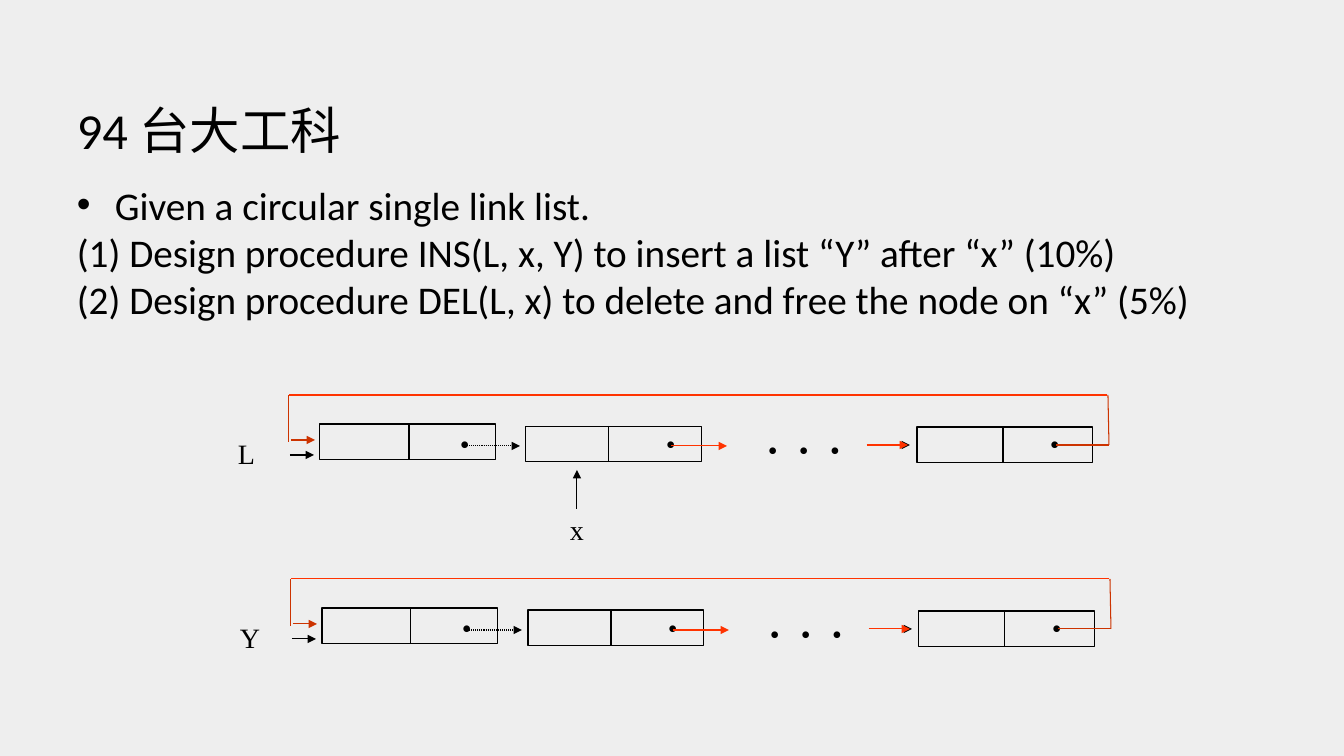
import pptx
import pptx.util
import pptx.dml.color
import pptx.enum.dml
import pptx.enum.shapes
import pptx.enum.text
import pptx.oxml.ns
from lxml import etree

# Content
TITLE = "94 台大工科"
QUESTION = [
    "Given a circular single link list.",
    "(1) Design procedure INS(L, x, Y) to insert a list “Y” after “x” (10%)",
    "(2) Design procedure DEL(L, x) to delete and free the node on “x” (5%)",
]
# List name and its offset in px from the first list
LISTS = [("L", 0, 0), ("Y", 2, 184)]
# Nodes: left, top, divider x, left of the box holding the link dot
NODES = [(320, 424, 409, 450), (526, 426, 609, 656), (917, 427, 1003, 1040)]
NODE_W, NODE_H = 176, 36
# Links: from x, y, to x, y, colour, arrow, dotted
LINKS = [
    (290, 455, 314, 455, "ink", True, False),
    (465, 446, 520, 446, "ink", True, True),
    (671, 446, 727, 446, "bright", True, False),
    (867, 445, 910, 445, "ink", True, False),
    (867, 445, 908, 445, "bright", True, False),
    (1056, 445, 1109, 445, "deep", False, False),
    (1109, 445, 1108, 395, "deep", False, False),
    (1107, 395, 289, 395, "bright", False, False),
    (289, 395, 289, 442, "deep", False, False),
    (291, 440, 315, 440, "deep", True, False),
]
X_POINTER = (577, 509, 577, 470, "ink", True, False)

THEME = {
    "paper": "EEEEEE", "ink": "000000", "bright": "FF3300", "deep": "CC3300",
    "body_font": "Calibri", "label_font": "Times New Roman",
    "title_size": 36, "body_size": 28, "label_size": 20, "line": 0.75,
}
PX = 914400 / 100.8


def px(length):
    return round(length * PX)


def colour(name):
    return pptx.dml.color.RGBColor.from_string(THEME[name])


def add_text(box, lines, font, size, wrap=False, anchor="TOP"):
    frame = slide.shapes.add_textbox(*map(px, box)).text_frame
    frame.word_wrap = wrap
    frame.vertical_anchor = getattr(pptx.enum.text.MSO_ANCHOR, anchor)
    frame.text = "\n".join(lines)
    look = {"name": THEME[font], "size": pptx.util.Pt(THEME[size])}
    for paragraph in frame.paragraphs:
        for key, value in look.items():
            setattr(paragraph.runs[0].font, key, value)
        paragraph.runs[0].font.color.rgb = colour("ink")
    return frame


def add_label(left, top, width, text):
    return add_text((left, top, width, 44), [text], "label_font", "label_size")


def add_line(x1, y1, x2, y2, ink, arrow=False, dotted=False):
    link = slide.shapes.add_connector(
        pptx.enum.shapes.MSO_CONNECTOR.STRAIGHT, *map(px, (x1, y1, x2, y2)))
    link.line.color.rgb = colour(ink)
    link.line.width = pptx.util.Pt(THEME["line"])
    if dotted:
        link.line.dash_style = pptx.enum.dml.MSO_LINE.ROUND_DOT
    if arrow:
        etree.SubElement(link.line._get_or_add_ln(),
                         pptx.oxml.ns.qn("a:tailEnd"), type="triangle")
    etree.SubElement(link._element.spPr, pptx.oxml.ns.qn("a:effectLst"))


def add_node(left, top, divider, dot_left, dx, dy):
    node = slide.shapes.add_shape(
        pptx.enum.shapes.MSO_SHAPE.RECTANGLE,
        *map(px, (left + dx, top + dy, NODE_W, NODE_H)))
    node.shadow.inherit = False
    node.fill.background()
    node.line.color.rgb = colour("ink")
    node.line.width = pptx.util.Pt(THEME["line"])
    add_line(divider + dx, top + dy, divider + dx, top + dy + NODE_H, "ink")
    add_label(dot_left + dx, 422 + dy, 34, "•")


# Slide
deck = pptx.Presentation()
deck.slide_width, deck.slide_height = px(1344), px(756)
slide = deck.slides.add_slide(deck.slide_layouts[6])
slide.background.fill.solid()
slide.background.fill.fore_color.rgb = colour("paper")

# Title and question
add_text((67, 39, 1210, 126), [TITLE], "body_font", "title_size", True, "BOTTOM")
question = add_text((67, 176, 1210, 499), QUESTION, "body_font", "body_size", True)
lead = question.paragraphs[0]._p.get_or_add_pPr()
lead.set("marL", str(px(38)))
lead.set("indent", str(px(-38)))
etree.SubElement(lead, pptx.oxml.ns.qn("a:buFont"), typeface="Arial")
etree.SubElement(lead, pptx.oxml.ns.qn("a:buChar"), char="•")

# Circular lists
for name, dx, dy in LISTS:
    for node in NODES:
        add_node(*node, dx, dy)
    for x1, y1, x2, y2, *style in LINKS:
        add_line(x1 + dx, y1 + dy, x2 + dx, y2 + dy, *style)
    ellipsis = add_label(758 + dx, 428 + dy, 101, "• • •")
    # Wide letter spacing, in hundredths of a point
    ellipsis.paragraphs[0].runs[0]._r.get_or_add_rPr().set("spc", "510")
    add_label(228 + dx, 432 + dy, 40, name)

# Pointer to x
add_line(*X_POINTER)
add_label(560, 508, 34, "x")

deck.save("out.pptx")
